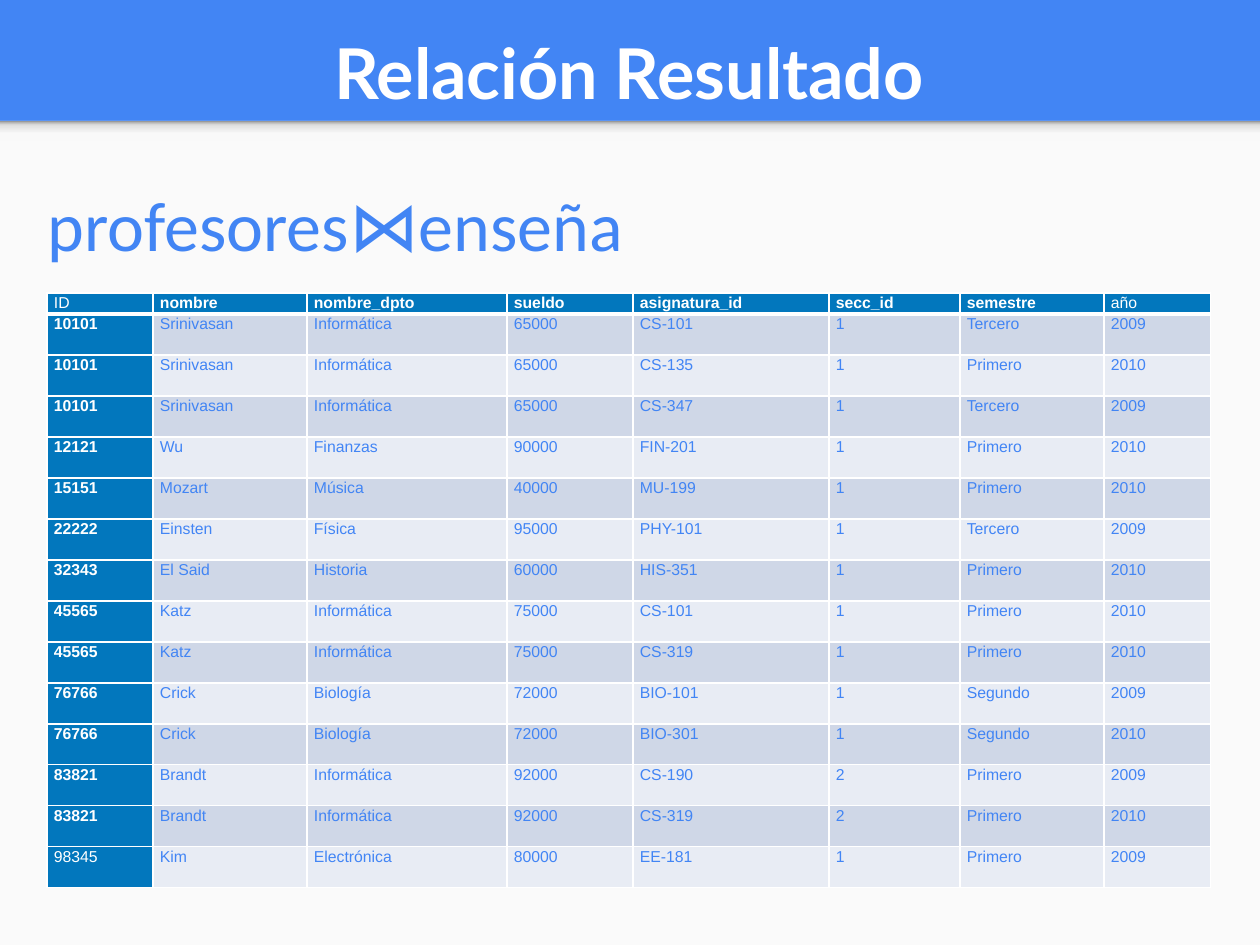
from typing import NamedTuple

import lxml.etree
import pptx
import pptx.dml.color
import pptx.enum.shapes
import pptx.enum.text
import pptx.oxml
import pptx.oxml.ns
import pptx.util

RGBColor = pptx.dml.color.RGBColor
BLUE = RGBColor(0x42, 0x85, 0xF4)
PAPER = RGBColor(0xFA, 0xFA, 0xFA)
WHITE = RGBColor(0xFF, 0xFF, 0xFF)
KEY_BLUE = RGBColor(0x02, 0x77, 0xBD)
BAND_DARK = RGBColor(0xCF, 0xD7, 0xE7)
BAND_LIGHT = RGBColor(0xE8, 0xEC, 0xF4)
# Gradient stops (percent, colour), from the bottom edge up
SHADE_STOPS = [
    (0, RGBColor(0xF9, 0xF9, 0xF9)),
    (36, RGBColor(0xF9, 0xF9, 0xF9)),
    (80, RGBColor(0xDE, 0xDE, 0xDE)),
    (100, RGBColor(0x99, 0x99, 0x99)),
]

PX_PER_INCH = 126
HEADER_HEIGHT, ROW_HEIGHT = 21, 41
CELL_INSET = 7


class Column(NamedTuple):
    name: str
    width: int
    bold: bool = True


class Teaching(NamedTuple):
    id: str
    nombre: str
    nombre_dpto: str
    sueldo: str
    asignatura_id: str
    secc_id: str
    semestre: str
    año: str


COLUMNS = [
    Column("ID", 106, bold=False),
    Column("nombre", 154),
    Column("nombre_dpto", 200),
    Column("sueldo", 126),
    Column("asignatura_id", 196),
    Column("secc_id", 131),
    Column("semestre", 144),
    Column("año", 107, bold=False),
]
TEACHINGS = [
    Teaching("10101", "Srinivasan", "Informática", "65000", "CS-101", "1", "Tercero", "2009"),
    Teaching("10101", "Srinivasan", "Informática", "65000", "CS-135", "1", "Primero", "2010"),
    Teaching("10101", "Srinivasan", "Informática", "65000", "CS-347", "1", "Tercero", "2009"),
    Teaching("12121", "Wu", "Finanzas", "90000", "FIN-201", "1", "Primero", "2010"),
    Teaching("15151", "Mozart", "Música", "40000", "MU-199", "1", "Primero", "2010"),
    Teaching("22222", "Einsten", "Física", "95000", "PHY-101", "1", "Tercero", "2009"),
    Teaching("32343", "El Said", "Historia", "60000", "HIS-351", "1", "Primero", "2010"),
    Teaching("45565", "Katz", "Informática", "75000", "CS-101", "1", "Primero", "2010"),
    Teaching("45565", "Katz", "Informática", "75000", "CS-319", "1", "Primero", "2010"),
    Teaching("76766", "Crick", "Biología", "72000", "BIO-101", "1", "Segundo", "2009"),
    Teaching("76766", "Crick", "Biología", "72000", "BIO-301", "1", "Segundo", "2010"),
    Teaching("83821", "Brandt", "Informática", "92000", "CS-190", "2", "Primero", "2009"),
    Teaching("83821", "Brandt", "Informática", "92000", "CS-319", "2", "Primero", "2010"),
    Teaching("98345", "Kim", "Electrónica", "80000", "EE-181", "1", "Primero", "2009"),
]


def px(length: int) -> pptx.util.Emu:
    return pptx.util.Emu(round(length * pptx.util.Inches(1) / PX_PER_INCH))


def add_run(paragraph, text: str, font: str, size: int, color: RGBColor, bold: bool = False) -> None:
    run = paragraph.add_run()
    run.text = text
    run.font.name = font
    run.font.size = pptx.util.Pt(size)
    run.font.color.rgb = color
    run.font.bold = bold


def add_panel(slide, top: int, height: int):
    panel = slide.shapes.add_shape(
        pptx.enum.shapes.MSO_SHAPE.RECTANGLE, 0, px(top), px(1260), px(height))
    panel.shadow.inherit = False
    panel.line.fill.background()
    panel.fill.solid()
    panel.fill.fore_color.rgb = PAPER
    return panel


def shade_upward(panel) -> None:
    stops = "".join(
        f'<a:gs pos="{percent * 1000}"><a:srgbClr val="{color}"/></a:gs>'
        for percent, color in SHADE_STOPS)
    gradient = pptx.oxml.parse_xml(
        f'<a:gradFill {pptx.oxml.ns.nsdecls("a")} rotWithShape="1">'
        f'<a:gsLst>{stops}</a:gsLst><a:lin ang="16200000" scaled="0"/></a:gradFill>')
    solid = panel.fill._xPr.find(pptx.oxml.ns.qn("a:solidFill"))
    solid.getparent().replace(solid, gradient)


def add_borders(cell, top: int, bottom: int) -> None:
    properties = cell._tc.get_or_add_tcPr()
    for side, points in (("L", 1), ("R", 1), ("T", top), ("B", bottom)):
        line = lxml.etree.SubElement(
            properties, pptx.oxml.ns.qn(f"a:ln{side}"), w=str(pptx.util.Pt(points)))
        fill = lxml.etree.SubElement(line, pptx.oxml.ns.qn("a:solidFill"))
        lxml.etree.SubElement(fill, pptx.oxml.ns.qn("a:srgbClr"), val=str(WHITE))


def fill_cell(cell, text: str, fill: RGBColor, color: RGBColor, bold: bool,
              top: int = 1, bottom: int = 1) -> None:
    add_borders(cell, top, bottom)
    cell.fill.solid()
    cell.fill.fore_color.rgb = fill
    cell.margin_left = cell.margin_right = px(CELL_INSET)
    cell.margin_top = cell.margin_bottom = 0
    paragraph = cell.text_frame.paragraphs[0]
    paragraph.line_spacing = 1.07
    add_run(paragraph, text, "Arial", 9, color, bold)


def add_relation(slide, left: int, top: int) -> None:
    width = sum(column.width for column in COLUMNS)
    height = HEADER_HEIGHT + ROW_HEIGHT * len(TEACHINGS)
    relation = slide.shapes.add_table(
        len(TEACHINGS) + 1, len(COLUMNS), px(left), px(top), px(width), px(height)).table
    relation.horz_banding = False

    # Attribute names
    relation.rows[0].height = px(HEADER_HEIGHT)
    for c, column in enumerate(COLUMNS):
        relation.columns[c].width = px(column.width)
        fill_cell(relation.cell(0, c), column.name, KEY_BLUE, WHITE, column.bold, bottom=3)

    # Tuples in alternating bands, with the key column highlighted
    for r, teaching in enumerate(TEACHINGS, start=1):
        relation.rows[r].height = px(ROW_HEIGHT)
        band = BAND_DARK if r % 2 else BAND_LIGHT
        top_line = 3 if r == 1 else 1
        for c, value in enumerate(teaching):
            is_key = c == 0
            fill_cell(relation.cell(r, c), value,
                      KEY_BLUE if is_key else band,
                      WHITE if is_key else BLUE,
                      is_key and r < len(TEACHINGS), top=top_line)


def main() -> None:
    deck = pptx.Presentation()
    deck.slide_width, deck.slide_height = px(1260), px(945)
    slide = deck.slides.add_slide(deck.slide_layouts[5])

    # Blue header over a light page with a soft shade below it
    slide.background.fill.solid()
    slide.background.fill.fore_color.rgb = BLUE
    add_panel(slide, 121, 824)
    shade_upward(add_panel(slide, 121, 20))

    # Title
    title = slide.shapes.title
    title.left, title.top, title.width, title.height = px(21), px(9), px(1216), px(111)
    title.text_frame.vertical_anchor = pptx.enum.text.MSO_ANCHOR.BOTTOM
    heading = title.text_frame.paragraphs[0]
    heading.alignment = pptx.enum.text.PP_ALIGN.CENTER
    add_run(heading, "Relación Resultado", "Lato", 40, WHITE, bold=True)

    add_relation(slide, 47, 293)

    # Join expression
    join = slide.shapes.add_textbox(px(35), px(169), px(895), px(76)).text_frame
    join.word_wrap = True
    join.margin_left = join.margin_right = join.margin_top = join.margin_bottom = px(13)
    add_run(join.paragraphs[0], "profesores⋈enseña", "Calibri", 40, BLUE)

    deck.save("out.pptx")


if __name__ == "__main__":
    main()
